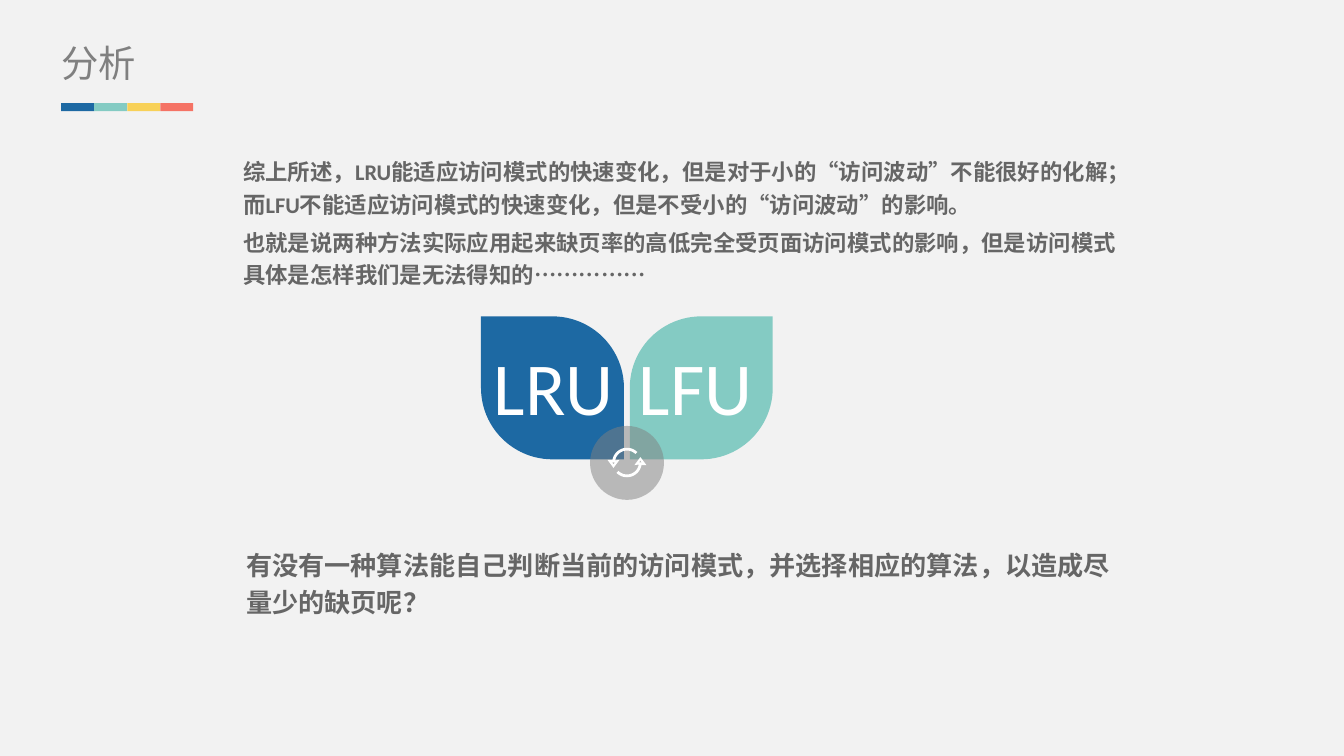
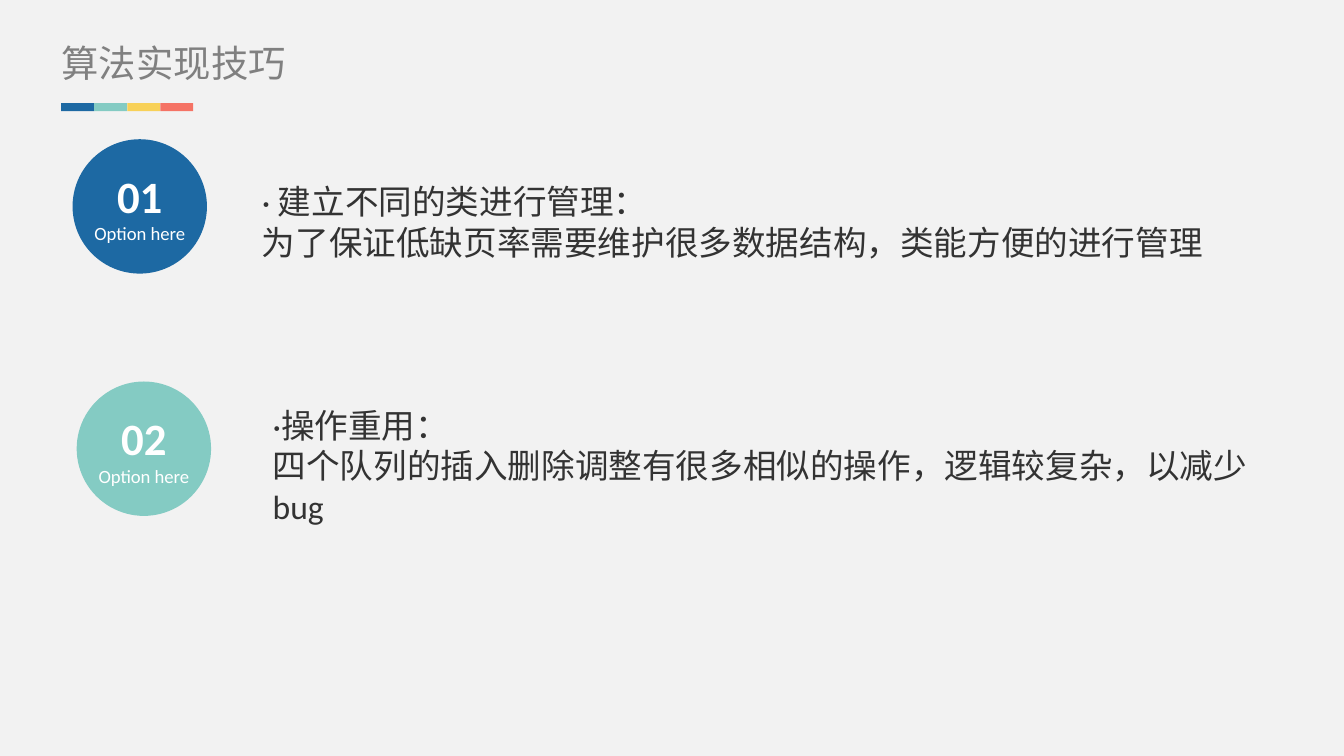
import math

import lxml.etree
import pptx
import pptx.dml.color
import pptx.enum.shapes
import pptx.enum.text
import pptx.oxml.ns
import pptx.util

Pt = pptx.util.Pt
color = pptx.dml.color.RGBColor.from_string
MSO_SHAPE = pptx.enum.shapes.MSO_SHAPE
PP_ALIGN = pptx.enum.text.PP_ALIGN
AUTO_SIZE = pptx.enum.text.MSO_AUTO_SIZE
qn = pptx.oxml.ns.qn

# Shared look
BLUE, TEAL, YELLOW, RED = "1D69A3", "84CBC3", "F8D158", "F57365"
GREY, BODY, DARK, WHITE = "808080", "666666", "333333", "FFFFFF"
LATIN, CHINESE = "Calibri", "Noto Sans CJK SC"


def paint(shape, fill):
    shape.shadow.inherit = False
    shape.fill.solid()
    shape.fill.fore_color.rgb = color(fill)
    shape.line.fill.background()
    return shape


def write(shape, lines, size, fill, font=LATIN, bold=False, align=None, inset=(0, 0), wrap=True):
    frame = shape.text_frame
    frame.text = "\n".join(lines)
    frame.word_wrap = wrap
    frame.margin_left = frame.margin_right = Pt(inset[0])
    frame.margin_top = frame.margin_bottom = Pt(inset[1])
    for paragraph in frame.paragraphs:
        paragraph.alignment = align
        for run in paragraph.runs:
            run.font.size = Pt(size)
            run.font.bold = bold
            run.font.color.rgb = color(fill)
            run.font.name = font
            properties = run._r.get_or_add_rPr()
            lxml.etree.SubElement(properties, qn("a:ea"), typeface=CHINESE)
    return frame


presentation = pptx.Presentation()
presentation.slide_width, presentation.slide_height = Pt(720), Pt(405)
background = presentation.slide_master.background.fill
background.solid()
background.fore_color.rgb = color("F2F2F2")

# Title and four-colour strip on every slide
slides = []
for title in ("分析", "算法实现技巧"):
    slide = presentation.slides.add_slide(presentation.slide_layouts[6])
    title_box = slide.shapes.add_textbox(Pt(33), Pt(21.6), Pt(219), Pt(24.5))
    write(title_box, [title], 20, GREY, font=CHINESE).auto_size = AUTO_SIZE.SHAPE_TO_FIT_TEXT
    for index, fill in enumerate((BLUE, TEAL, YELLOW, RED)):
        paint(slide.shapes.add_shape(
            MSO_SHAPE.RECTANGLE, Pt(32.8 + 17.7 * index), Pt(55.2), Pt(17.7), Pt(4.4)), fill)
    slides.append(slide)
analysis, technique = slides

# Analysis: the two leaves
leaves = (("LRU", 257.7, 264.2, 64.8, BLUE, (0, 0.5)),
          ("LFU", 337.4, 342, 61.2, TEAL, (0.5, 0)))
for label, left, label_left, label_width, fill, corners in leaves:
    leaf = paint(analysis.shapes.add_shape(
        MSO_SHAPE.ROUND_2_DIAG_RECTANGLE, Pt(left), Pt(169.5), Pt(76.6), Pt(76.6)), fill)
    leaf.adjustments[0], leaf.adjustments[1] = corners
    label_box = analysis.shapes.add_textbox(Pt(label_left), Pt(182.9), Pt(label_width), Pt(48.2))
    write(label_box, [label], 40, WHITE, align=PP_ALIGN.CENTER, wrap=False)

# Analysis: half-transparent disc with a cycle icon
disc = paint(analysis.shapes.add_shape(
    MSO_SHAPE.OVAL, Pt(316.1), Pt(228.2), Pt(39.6), Pt(39.6)), GREY)
disc_color = disc._element.spPr.find(qn("a:solidFill")).find(qn("a:srgbClr"))
lxml.etree.SubElement(disc_color, qn("a:alpha"), val="50000")

angles = [math.radians(degrees) for degrees in range(45, 171, 5)]
outer_arc = [(7.9 * math.cos(a), -7.9 * math.sin(a)) for a in angles]
inner_arc = [(6.4 * math.cos(a), -6.4 * math.sin(a)) for a in reversed(angles)]
arrow = outer_arc + [(-10.4, -1.4), (-7.2, 2.9), (-4, -1.4)] + inner_arc
arrow_hole = [(-7.9, 0), (-6.5, 0), (-7.2, 1.1)]
contours = [[(Pt(335.9 + turn * x), Pt(247.8 + turn * y)) for x, y in contour]
            for turn in (1, -1) for contour in (arrow, arrow_hole)]
builder = analysis.shapes.build_freeform(*contours[0][0])
builder.add_line_segments(contours[0][1:])
for contour in contours[1:]:
    builder.move_to(*contour[0])
    builder.add_line_segments(contour[1:])
paint(builder.convert_to_shape(), WHITE)

# Analysis: summary and question
summary = [
    "综上所述，LRU能适应访问模式的快速变化，但是对于小的“访问波动”不能很好的化解；"
    "而LFU不能适应访问模式的快速变化，但是不受小的“访问波动”的影响。",
    "也就是说两种方法实际应用起来缺页率的高低完全受页面访问模式的影响，"
    "但是访问模式具体是怎样我们是无法得知的……………",
]
question = ["有没有一种算法能自己判断当前的访问模式，并选择相应的算法，以造成尽量少的缺页呢？"]
for lines, left, top, width, height, size in (
        (summary, 130.3, 82.1, 468, 71.3, 12), (question, 131.8, 290.9, 466.6, 54.7, 14)):
    text_box = analysis.shapes.add_textbox(Pt(left), Pt(top), Pt(width), Pt(height))
    frame = write(text_box, lines, size, BODY, bold=True)
    frame.auto_size = AUTO_SIZE.SHAPE_TO_FIT_TEXT
    for paragraph in frame.paragraphs:
        paragraph.line_spacing = 1.2
        paragraph.space_before = Pt(3)

# Technique: numbered circles with their explanations
options = (
    ("01", BLUE, 38.9, 74.6, 133.2, 93.6,
     ["· 建立不同的类进行管理：", "为了保证低缺页率需要维护很多数据结构，类能方便的进行管理"]),
    ("02", TEAL, 41.1, 204.4, 139, 213.3,
     ["·操作重用：", "四个队列的插入删除调整有很多相似的操作，逻辑较复杂，以减少bug"]),
)
for number, fill, left, top, text_left, text_top, lines in options:
    circle = paint(technique.shapes.add_shape(
        MSO_SHAPE.OVAL, Pt(left), Pt(top), Pt(72), Pt(72)), fill)
    frame = write(circle, [number, "Option here"], 10, WHITE, align=PP_ALIGN.CENTER)
    frame.vertical_anchor = pptx.enum.text.MSO_ANCHOR.MIDDLE
    number_font = frame.paragraphs[0].runs[0].font
    number_font.size, number_font.bold = Pt(24), True
    text_box = technique.shapes.add_textbox(Pt(text_left), Pt(text_top), Pt(540), Pt(72.7))
    write(text_box, lines, 18, DARK, inset=(7.2, 3.6)).auto_size = AUTO_SIZE.SHAPE_TO_FIT_TEXT

presentation.save("out.pptx")
